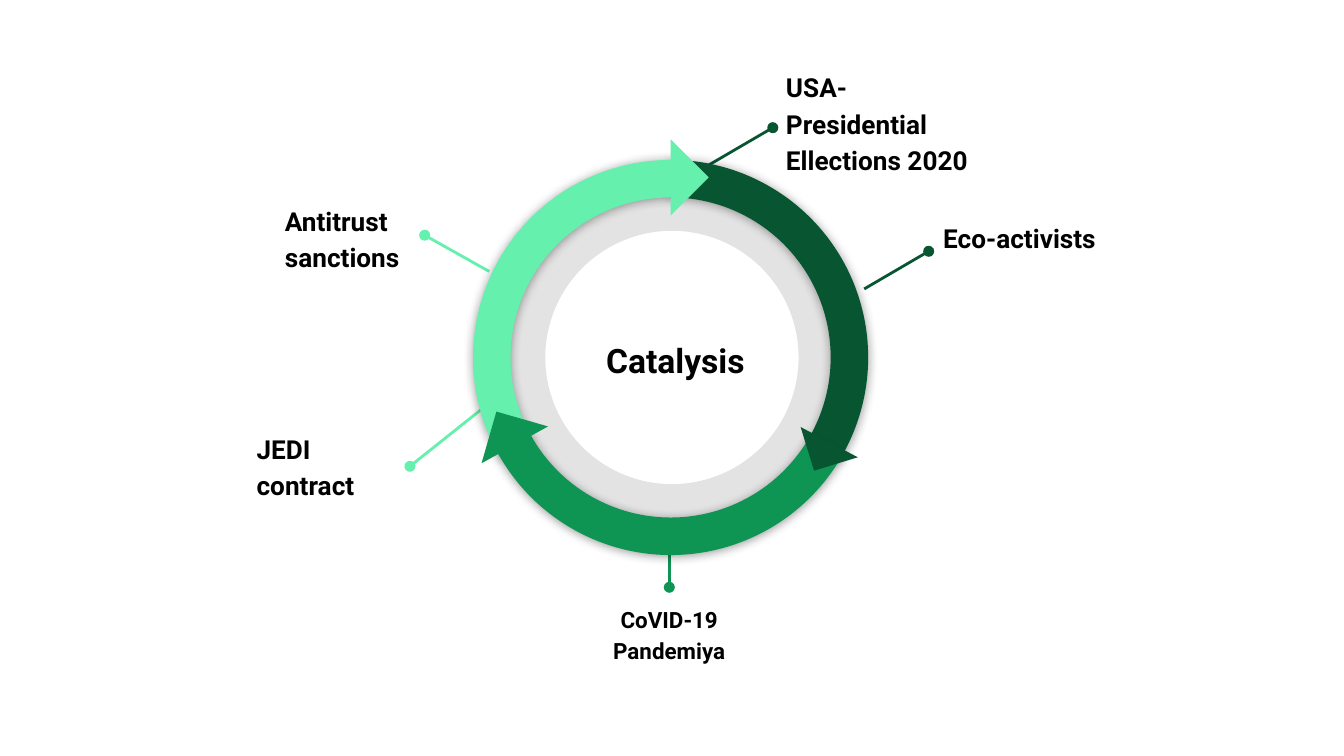
from lxml import etree
from pptx import Presentation
from pptx.dml.color import RGBColor
from pptx.enum.shapes import MSO_CONNECTOR, MSO_SHAPE
from pptx.enum.text import MSO_ANCHOR, PP_ALIGN
from pptx.oxml.ns import qn
from pptx.util import Inches, Pt

LEFT, CENTER = PP_ALIGN.LEFT, PP_ALIGN.CENTER
TOP, MIDDLE = MSO_ANCHOR.TOP, MSO_ANCHOR.MIDDLE
BLACK = RGBColor(0x00, 0x00, 0x00)
DARK = RGBColor(0x08, 0x56, 0x31)
GREEN = RGBColor(0x0E, 0x94, 0x53)
MINT = RGBColor(0x65, 0xF0, 0xAD)
FONT = "Roboto"
PADDING = 0.1
SLIDE_WIDTH = Inches(10)
SLIDE_HEIGHT = SLIDE_WIDTH * 9 // 16

# Lengths in inches; each leader runs from its dot to the ring.
CALLOUTS = [
    dict(text="Antitrust\nsanctions", box=(1.52, 1.39, 1.64, 0.73), indent=0.5,
         dot=(3.16, 1.75), ring=(3.64, 2.02), color=MINT),
    dict(text="Eco-activists", box=(6.92, 1.52, 1.64, 0.73),
         dot=(6.91, 1.87), ring=(6.43, 2.15), color=DARK),
    dict(text="CoVID-19 Pandemiya", box=(4.16, 4.38, 1.64, 0.73), size=12, align=CENTER,
         dot=(4.98, 4.37), ring=(4.98, 3.87), color=GREEN),
    dict(text="USA- Presidential Ellections 2020", box=(5.75, 0.4, 1.64, 0.88),
         dot=(5.75, 0.95), ring=(5.27, 1.23), color=DARK),
    dict(text="JEDI contract", box=(1.31, 3.09, 1.73, 0.79), indent=0.5,
         dot=(3.05, 3.47), ring=(3.64, 3), color=MINT),
]
CENTER_LABEL = dict(text="Catalysis", box=(4.22, 2.22, 1.58, 0.88), size=18,
                    align=CENTER, anchor=MIDDLE, indent=0.03)

RING_BOX = (3.61, 1.27, 2.78, 2.78)
ARC_BOX = (3.52, 1.19, 2.94, 2.94)
ARC_COLORS = [DARK, MINT, GREEN]  # counterclockwise, from back to front
ARC_SWEEP = 360 / len(ARC_COLORS)
ARC_OVERLAP = 1
ARC_THICKNESS = 0.095
ARROWHEADS = [  # left, top, side, rotation, colour
    (4.79, 1.12, 0.4, 225, MINT),
    (6, 3.12, 0.34, 342.9, DARK),
    (3.63, 3.11, 0.4, 106, GREEN),
]


def add_filled(slide, kind, box, color, rotation=0, adjustments=()):
    shape = slide.shapes.add_shape(kind, *map(Inches, box))
    shape.shadow.inherit = False
    shape.fill.solid()
    shape.fill.fore_color.rgb = color
    shape.line.fill.background()
    shape.rotation = rotation
    for i, value in enumerate(adjustments):
        shape.adjustments[i] = value
    return shape


def set_alpha(color_element, percent):
    etree.SubElement(color_element, qn("a:alpha"), val=str(percent * 1000))


def add_soft_shadow(shape):
    effects = shape._element.spPr.find(qn("a:effectLst"))
    shadow = etree.SubElement(effects, qn("a:outerShdw"), blurRad=str(Pt(5.6)),
                              dist=str(Pt(0.8)), dir="5400000", rotWithShape="0")
    set_alpha(etree.SubElement(shadow, qn("a:srgbClr"), val=str(BLACK)), 40)


def add_label(slide, text, box, size=14, align=LEFT, anchor=TOP, indent=0):
    frame = slide.shapes.add_textbox(*map(Inches, box)).text_frame
    layout = dict(word_wrap=True, vertical_anchor=anchor,
                  margin_left=Inches(PADDING + indent), margin_right=Inches(PADDING),
                  margin_top=Inches(PADDING), margin_bottom=Inches(PADDING))
    for key, value in layout.items():
        setattr(frame, key, value)
    frame.text = text
    for paragraph in frame.paragraphs:
        paragraph.alignment = align
        paragraph.line_spacing = 1.15
        font = paragraph.runs[0].font
        for key, value in dict(name=FONT, size=Pt(size), bold=True).items():
            setattr(font, key, value)
        font.color.rgb = BLACK


def add_leader(slide, dot, ring, color):
    leader = slide.shapes.add_connector(MSO_CONNECTOR.STRAIGHT, *map(Inches, dot + ring))
    leader.line.color.rgb = color
    leader.line.width = Pt(1.5)
    etree.SubElement(leader.line._get_or_add_ln(), qn("a:headEnd"), type="oval")
    etree.SubElement(leader._element.spPr, qn("a:effectLst"))


def main():
    prs = Presentation()
    prs.slide_width, prs.slide_height = SLIDE_WIDTH, SLIDE_HEIGHT
    slide = prs.slides.add_slide(prs.slide_layouts[6])

    ring = add_filled(slide, MSO_SHAPE.DONUT, RING_BOX, BLACK, adjustments=[0.161])
    set_alpha(ring._element.spPr.find(".//" + qn("a:srgbClr")), 11)

    for callout in CALLOUTS:
        label = dict(callout)
        add_leader(slide, label.pop("dot"), label.pop("ring"), label.pop("color"))
        add_label(slide, **label)
    add_label(slide, **CENTER_LABEL)

    # Arc angles are in 1/60000 degree, adjustments in 1/100000.
    arc_start, arc_end = (360 - ARC_SWEEP) * 0.6, ARC_OVERLAP * 0.6
    for i, color in enumerate(ARC_COLORS):
        arc = add_filled(slide, MSO_SHAPE.BLOCK_ARC, ARC_BOX, color,
                         rotation=(ARC_SWEEP - 90 - i * ARC_SWEEP) % 360,
                         adjustments=[arc_start, arc_end, ARC_THICKNESS])
        add_soft_shadow(arc)
    for left, top, side, rotation, color in ARROWHEADS:
        add_filled(slide, MSO_SHAPE.RIGHT_TRIANGLE, (left, top, side, side), color, rotation)

    prs.save("out.pptx")


if __name__ == "__main__":
    main()
